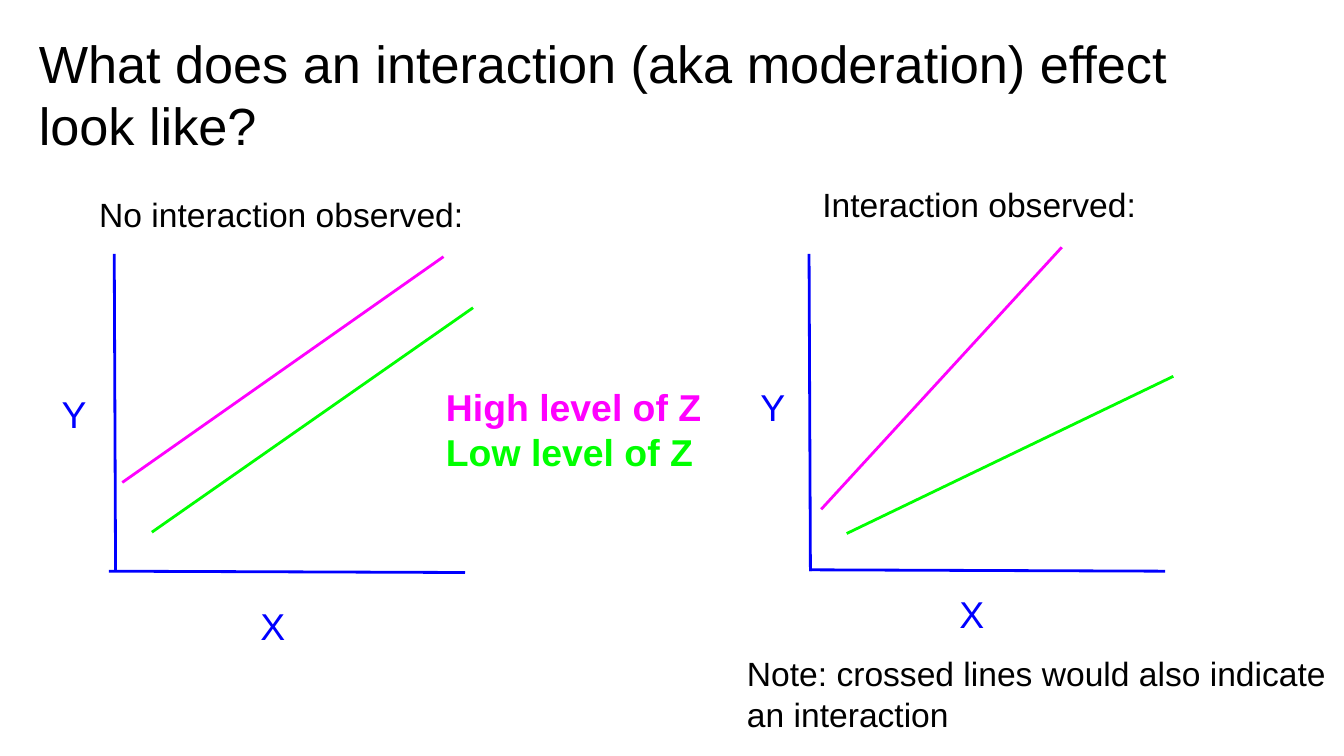
"""Build a slide comparing plots with and without an interaction effect."""
from lxml import etree
from pptx import Presentation
from pptx.dml.color import RGBColor
from pptx.enum import shapes, text
from pptx.oxml import ns
from pptx.util import Inches, Pt

COLORS = {"ink": "000000", "axis": "0000FF", "high": "FF00FF", "low": "00FF00"}


def add_label(s, box, size, lines, bold=False):
    sp = s.shapes.add_textbox(*[Inches(v) for v in box])
    tf = sp.text_frame
    tf.word_wrap = True
    tf.vertical_anchor = text.MSO_ANCHOR.TOP
    tf.margin_left = tf.margin_right = tf.margin_top = tf.margin_bottom = Inches(0.1)
    tf.text = "\n".join(line for line, _ in lines)
    for p, (_, color) in zip(tf.paragraphs, lines):
        r = p.runs[0]
        r.font.name = "Arial"
        r.font.size = Pt(size)
        r.font.bold = bold
        r.font.color.rgb = RGBColor.from_string(COLORS[color])


prs = Presentation()
prs.slide_width = Inches(10)
prs.slide_height = Inches(10) * 9 // 16
s = prs.slides.add_slide(prs.slide_layouts[6])

add_label(s, (0.19, 0.13, 9.32, 0.63), 28,
          [("What does an interaction (aka moderation) effect look like?", "ink")])

plots = [
    {"title": ("No interaction observed:", (0.64, 1.34, 3.27, 0.52)),
     "Y": (0.36, 2.81, 5.33, 0.62),
     "X": (1.84, 4.39, 0.53, 0.62),
     "lines": [("axis", 0.85, 1.89, 0.86, 4.25), ("axis", 0.81, 4.25, 3.46, 4.26),
               ("high", 0.91, 3.59, 3.3, 1.91), ("low", 1.13, 3.96, 3.52, 2.29)]},
    {"title": ("Interaction observed:", (6.02, 1.27, 5.33, 0.62)),
     "Y": (5.56, 2.76, 5.33, 0.62),
     "X": (7.04, 4.3, 1.69, 0.62),
     "lines": [("axis", 6.02, 4.24, 8.67, 4.25), ("axis", 6.02, 1.89, 6.03, 4.25),
               ("low", 6.3, 3.97, 8.73, 2.8), ("high", 6.11, 3.79, 7.9, 1.84)]},
]
for plot in plots:
    title, box = plot["title"]
    add_label(s, box, 18, [(title, "ink")])
    for color, *ends in plot["lines"]:
        line = s.shapes.add_connector(shapes.MSO_CONNECTOR.STRAIGHT,
                                      *[Inches(v) for v in ends])
        line.line.color.rgb = RGBColor.from_string(COLORS[color])
        line.line.width = Pt(1.5)
        etree.SubElement(line._element.spPr, ns.qn("a:effectLst"))
    for axis in ("Y", "X"):
        add_label(s, plot[axis], 20, [(axis, "axis")])

add_label(s, (3.22, 2.76, 5.33, 0.62), 20,
          [("High level of Z", "high"), ("Low level of Z", "low")], bold=True)
add_label(s, (5.46, 4.76, 4.54, 0.62), 18,
          [("Note: crossed lines would also indicate an interaction", "ink")])

prs.save("out.pptx")
